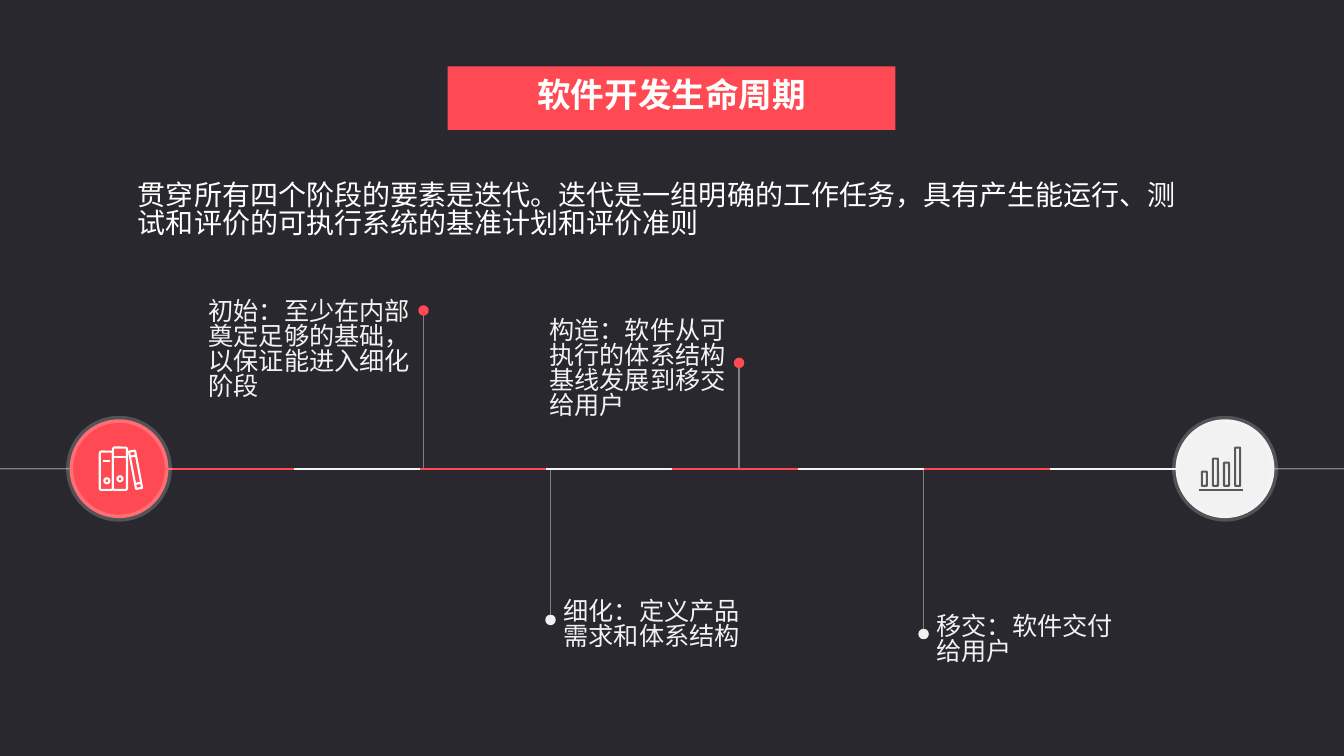
from dataclasses import dataclass

from lxml.etree import SubElement
from pptx import Presentation
from pptx.dml.color import RGBColor
from pptx.enum.shapes import MSO_CONNECTOR as CONN, MSO_SHAPE as SHAPE
from pptx.enum.text import MSO_ANCHOR as ANCHOR, MSO_AUTO_SIZE as AUTO
from pptx.oxml.ns import qn
from pptx.util import Inches, Pt


@dataclass(frozen=True)
class Theme:
    """Colours, fonts and type sizes."""
    back: str = "29282E"
    red: str = "FF4A53"
    pale: str = "F2F2F2"
    white: str = "FFFFFF"
    axis: str = "D9D9D9"
    stem: str = "808080"
    ink: str = "595959"
    font: str = "Noto Sans CJK JP"
    title_font: str = "Noto Sans CJK SC"
    title: int = 24
    body: int = 20
    note: int = 18
    leading: float = 0.83


T = Theme()
AXIS_Y = 4.65
BADGE = 0.98
AXIS_LEFT, AXIS_RIGHT = 1.67, 11.66
SEGMENTS = 8
CALLOUTS = [
    (4.2, 3.08, 2.2, -0.15, ["初始：至少在内部", "奠定足够的基础，", "以保证能进入细化", "阶段"]),
    (5.46, 6.15, 1.95, -0.24, ["细化：定义产品", "需求和体系结构"]),
    (7.33, 3.6, 1.95, -0.48, ["构造：软件从可", "执行的体系结构", "基线发展到移交", "给用户"]),
    (9.16, 6.29, 1.95, -0.23, ["移交：软件交付", "给用户"]),
]


def rgb(color):
    """Turn a hex string into a colour."""
    return RGBColor.from_string(color)


def set_alpha(line, percent):
    """Make a line partly transparent."""
    clr = line.fill._xPr.find(".//" + qn("a:srgbClr"))
    SubElement(clr, qn("a:alpha")).set("val", str(percent * 1000))


def style(sp, fill=None, line=None, width=1.0):
    """Set the fill and line of a shape without a shadow."""
    sp.shadow.inherit = False
    if fill:
        sp.fill.solid()
        sp.fill.fore_color.rgb = rgb(fill)
    else:
        sp.fill.background()
    if line:
        sp.line.color.rgb = rgb(line)
        sp.line.width = Pt(width)
    else:
        sp.line.fill.background()
    return sp


def add_shape(s, kind, x, y, w, h, **look):
    """Add a styled preset shape."""
    sp = s.shapes.add_shape(kind, Inches(x), Inches(y), Inches(w), Inches(h))
    return style(sp, **look)


def add_line(s, x1, y1, x2, y2, color, width=1.0):
    """Add a straight line without a shadow."""
    cn = s.shapes.add_connector(CONN.STRAIGHT, Inches(x1), Inches(y1), Inches(x2), Inches(y2))
    cn.line.color.rgb = rgb(color)
    cn.line.width = Pt(width)
    SubElement(cn._element.spPr, qn("a:effectLst"))
    return cn


def add_text(s, x, y, w, h, lines, size, color, font=T.font, bold=False, wrap=False):
    """Add a text box with one paragraph per line."""
    tb = s.shapes.add_textbox(Inches(x), Inches(y), Inches(w), Inches(h))
    tf = tb.text_frame
    tf.word_wrap = wrap
    tf.auto_size = AUTO.SHAPE_TO_FIT_TEXT
    for i, line in enumerate(lines):
        p = tf.add_paragraph() if i else tf.paragraphs[0]
        p.line_spacing = T.leading
        r = p.add_run()
        r.text = line
        r.font.size = Pt(size)
        r.font.bold = bold
        r.font.color.rgb = rgb(color)
        r.font.name = font
        SubElement(r._r.get_or_add_rPr(), qn("a:ea")).set("typeface", font)
    return tf


def title_banner(s, x, y, w, h):
    """Draw the red title banner."""
    add_shape(s, SHAPE.RECTANGLE, x, y, w, h, fill=T.red)
    tf = add_text(s, x + 0.79, y + 0.06, 2.88, 0.5, ["软件开发生命周期"],
                  T.title, T.white, T.title_font, bold=True)
    tf.vertical_anchor = ANCHOR.MIDDLE


def intro(s, x, y, w, h):
    """Write the paragraph about iteration."""
    add_text(s, x, y, w, h, ["贯穿所有四个阶段的要素是迭代。迭代是一组明确的工作任务，"
                             "具有产生能运行、测试和评价的可执行系统的基准计划和评价准则"],
             T.body, T.white, wrap=True)


def callout(s, x, dot_y, w, rise, lines):
    """Draw a stem with its dot and note, above or below the axis."""
    above = dot_y < AXIS_Y
    color = T.red if above else T.pale
    add_line(s, x, AXIS_Y, x, dot_y, T.stem)
    add_shape(s, SHAPE.OVAL, x - 0.045, dot_y - 0.045, 0.09, 0.09, fill=color, line=color)
    left = x - 0.03 - w if above else x + 0.03
    add_text(s, left, dot_y + rise, w, 0.1 + 0.3 * len(lines), lines, T.note, T.pale)


def timeline(s, left, right, y):
    """Draw the axis in alternating colours with the callouts."""
    step = (right - left) / SEGMENTS
    for entry in CALLOUTS:
        callout(s, *entry)
    for i in range(SEGMENTS):
        x = left + i * step
        add_line(s, x, y, x + step, y, T.pale if i % 2 else T.red, 1.5)


def badge(s, cx, cy, fill):
    """Draw a round badge with a translucent ring."""
    sp = add_shape(s, SHAPE.OVAL, cx - BADGE / 2, cy - BADGE / 2, BADGE, BADGE,
                   fill=fill, line=T.white, width=5)
    set_alpha(sp.line, 20)


def outline(s, x, y, w, h, color):
    """Draw an icon part as a rounded outline."""
    sp = add_shape(s, SHAPE.ROUNDED_RECTANGLE, x, y, w, h, line=color, width=1.5)
    sp.adjustments[0] = 0.12


def books_badge(s, cx, cy):
    """Draw the red badge with three books."""
    badge(s, cx, cy, T.red)
    for x, y, w, h in [(-0.19, -0.17, 0.13, 0.38), (-0.06, -0.21, 0.14, 0.42)]:
        outline(s, cx + x, cy + y, w, h, T.white)
    for x, y in [(-0.12, 0.12), (0.01, 0.1)]:
        add_shape(s, SHAPE.OVAL, cx + x - 0.025, cy + y - 0.025, 0.05, 0.05,
                  line=T.white, width=1.5)
    for x1, y1, x2, y2 in [(-0.16, -0.08, -0.09, -0.08), (-0.06, -0.12, 0.08, -0.12),
                           (0.11, -0.12, 0.17, -0.13), (0.16, 0.15, 0.22, 0.14)]:
        add_line(s, cx + x1, cy + y1, cx + x2, cy + y2, T.white, 1.5)
    corners = [(Inches(cx + x), Inches(cy + y))
               for x, y in [(0.1, -0.17), (0.16, -0.18), (0.23, 0.19), (0.17, 0.2)]]
    fb = s.shapes.build_freeform(*corners[0])
    fb.add_line_segments(corners[1:], close=True)
    style(fb.convert_to_shape(), line=T.white, width=1.5)


def bars_badge(s, cx, cy):
    """Draw the pale badge with four bars on a base line."""
    badge(s, cx, cy, T.pale)
    for i, h in enumerate([0.14, 0.27, 0.23, 0.38]):
        outline(s, cx - 0.23 + 0.11 * i, cy + 0.17 - h, 0.05, h, T.ink)
    add_line(s, cx - 0.26, cy + 0.21, cx + 0.18, cy + 0.21, T.ink, 1.5)


def lifecycle_slide(prs):
    """Build the software lifecycle slide."""
    s = prs.slides.add_slide(prs.slide_layouts[6])
    s.background.fill.solid()
    s.background.fill.fore_color.rgb = rgb(T.back)
    axis = add_line(s, 0, AXIS_Y, 13.33, AXIS_Y, T.axis)
    set_alpha(axis.line, 50)
    timeline(s, AXIS_LEFT, AXIS_RIGHT, AXIS_Y)
    books_badge(s, AXIS_LEFT - BADGE / 2, AXIS_Y)
    bars_badge(s, AXIS_RIGHT + BADGE / 2, AXIS_Y)
    intro(s, 1.27, 1.77, 10.57, 0.77)
    title_banner(s, 4.44, 0.66, 4.44, 0.63)


def main():
    """Make and save the presentation."""
    prs = Presentation()
    prs.slide_width, prs.slide_height = Inches(13.33), Inches(7.5)
    lifecycle_slide(prs)
    prs.save("out.pptx")


if __name__ == "__main__":
    main()
